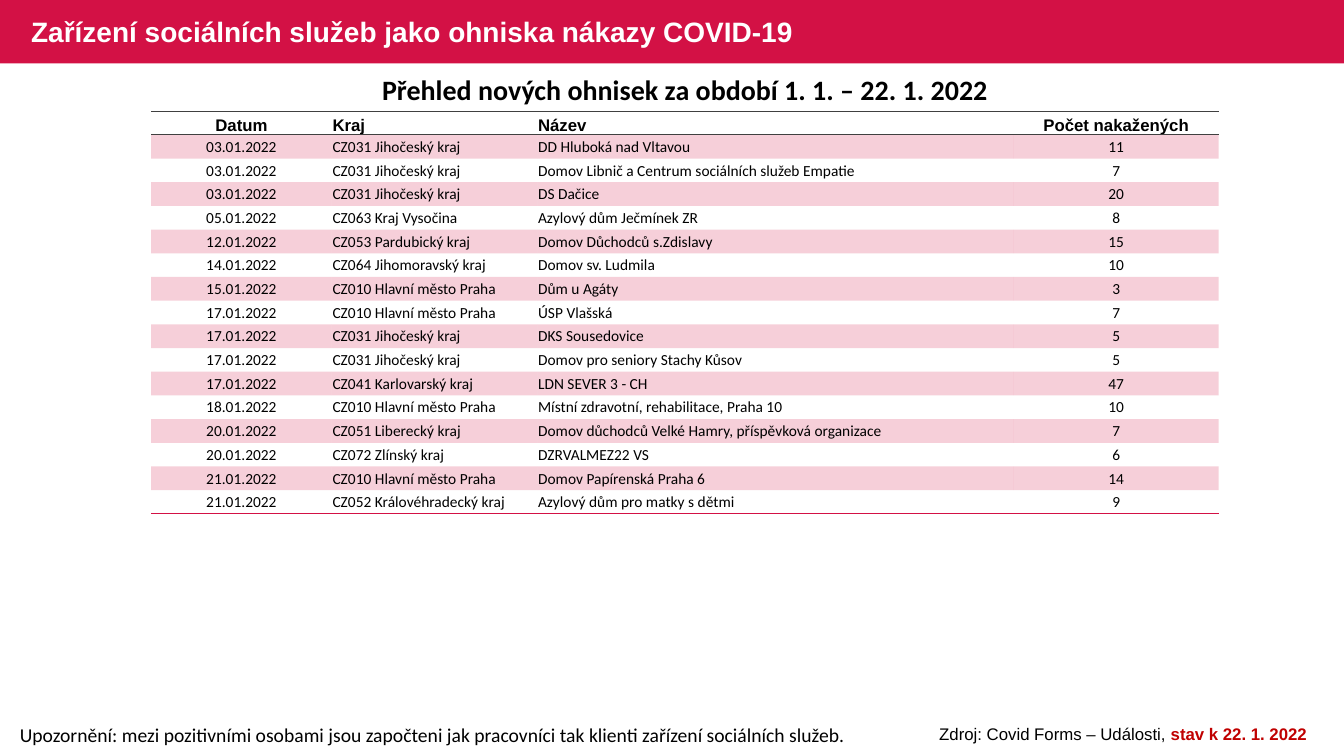
from lxml.etree import SubElement
from pptx import Presentation
from pptx.dml.color import RGBColor
from pptx.enum.shapes import MSO_SHAPE
from pptx.enum.text import MSO_ANCHOR, MSO_AUTO_SIZE, PP_ALIGN
from pptx.oxml.ns import qn
from pptx.util import Cm, Pt

# Content
TITLE = "Zařízení sociálních služeb jako ohniska nákazy COVID-19"
SUBTITLE = "Přehled nových ohnisek za období 1. 1. – 22. 1. 2022"
WARNING = ("Upozornění: mezi pozitivními osobami jsou započteni jak pracovníci "
           "tak klienti zařízení sociálních služeb.")
SOURCE = "Zdroj: Covid Forms – Události, "
SOURCE_DATE = "stav k 22. 1. 2022"
HEADER = ("Datum", "Kraj", "Název", "Počet nakažených")
OUTBREAKS = [
    ("03.01.2022", "CZ031 Jihočeský kraj", "DD Hluboká nad Vltavou", 11),
    ("03.01.2022", "CZ031 Jihočeský kraj", "Domov Libnič a Centrum sociálních služeb Empatie", 7),
    ("03.01.2022", "CZ031 Jihočeský kraj", "DS Dačice", 20),
    ("05.01.2022", "CZ063 Kraj Vysočina", "Azylový dům Ječmínek ZR", 8),
    ("12.01.2022", "CZ053 Pardubický kraj", "Domov Důchodců s.Zdislavy", 15),
    ("14.01.2022", "CZ064 Jihomoravský kraj", "Domov sv. Ludmila", 10),
    ("15.01.2022", "CZ010 Hlavní město Praha", "Dům u Agáty", 3),
    ("17.01.2022", "CZ010 Hlavní město Praha", "ÚSP Vlašská", 7),
    ("17.01.2022", "CZ031 Jihočeský kraj", "DKS Sousedovice", 5),
    ("17.01.2022", "CZ031 Jihočeský kraj", "Domov pro seniory Stachy Kůsov", 5),
    ("17.01.2022", "CZ041 Karlovarský kraj", "LDN SEVER 3 - CH", 47),
    ("18.01.2022", "CZ010 Hlavní město Praha", "Místní zdravotní, rehabilitace, Praha 10", 10),
    ("20.01.2022", "CZ051 Liberecký kraj", "Domov důchodců Velké Hamry, příspěvková organizace", 7),
    ("20.01.2022", "CZ072 Zlínský kraj", "DZRVALMEZ22 VS", 6),
    ("21.01.2022", "CZ010 Hlavní město Praha", "Domov Papírenská Praha 6", 14),
    ("21.01.2022", "CZ052 Královéhradecký kraj", "Azylový dům pro matky s dětmi", 9),
]

# Look
CRIMSON = RGBColor(0xD3, 0x11, 0x45)
DARK_RED = RGBColor(0xC0, 0x00, 0x00)
DARK_GREY = RGBColor(0x40, 0x40, 0x40)
BLACK = RGBColor(0x00, 0x00, 0x00)
WHITE = RGBColor(0xFF, 0xFF, 0xFF)
COLUMN_WIDTHS = (4.55, 5.18, 12.01, 5.16)
COLUMN_ALIGNS = (PP_ALIGN.CENTER, PP_ALIGN.LEFT, PP_ALIGN.LEFT, PP_ALIGN.CENTER)
TABLE_HEIGHT = Cm(10.16)
NO_STYLE = "{2D5ABB26-0587-4C30-8999-92F81FD0307C}"


def add_span(para, text, font, size, color, bold=False):
    span = para.add_run()
    span.text = text
    span.font.name = font
    span.font.size = Pt(size)
    span.font.bold = bold
    span.font.color.rgb = color


def add_box(page, left, top, width, height, align=PP_ALIGN.LEFT):
    box = page.shapes.add_textbox(Cm(left), Cm(top), Cm(width), Cm(height))
    box.text_frame.word_wrap = True
    box.text_frame.auto_size = MSO_AUTO_SIZE.SHAPE_TO_FIT_TEXT
    para = box.text_frame.paragraphs[0]
    para.alignment = align
    return para


def add_border(cell, side, color):
    line = SubElement(cell._tc.get_or_add_tcPr(), qn(f"a:{side}"), w=str(Pt(1)))
    fill = SubElement(line, qn("a:solidFill"))
    SubElement(fill, qn("a:srgbClr"), val=str(color))


def tint(cell):
    cell.fill.solid()
    cell.fill.fore_color.rgb = CRIMSON
    color = cell._tc.tcPr.find(qn("a:solidFill")).find(qn("a:srgbClr"))
    SubElement(color, qn("a:alpha"), val="20000")


def add_outbreak_table(page):
    rows = [HEADER] + OUTBREAKS
    frame = page.shapes.add_table(len(rows), len(HEADER), Cm(3.81), Cm(2.8),
                                  Cm(sum(COLUMN_WIDTHS)), TABLE_HEIGHT)
    table = frame.table
    table.first_row = table.horz_banding = False
    table._tbl.tblPr.find(qn("a:tableStyleId")).text = NO_STYLE
    for column, width in zip(table.columns, COLUMN_WIDTHS):
        column.width = Cm(width)
    for r, values in enumerate(rows):
        table.rows[r].height = TABLE_HEIGHT // len(rows)
        is_header = r == 0
        for c, value in enumerate(values):
            cell = table.cell(r, c)
            cell.margin_left = cell.margin_right = Cm(0.02)
            cell.margin_top = Cm(0 if is_header else 0.02)
            cell.margin_bottom = Cm(0)
            cell.vertical_anchor = MSO_ANCHOR.BOTTOM if is_header else MSO_ANCHOR.MIDDLE
            para = cell.text_frame.paragraphs[0]
            para.alignment = COLUMN_ALIGNS[c]
            font, size = ("Arial", 12) if is_header else ("Calibri", 11)
            add_span(para, str(value), font, size, BLACK, is_header)
            # Rules around the header and under the last row
            if is_header:
                add_border(cell, "lnT", DARK_GREY)
                add_border(cell, "lnB", DARK_GREY)
            elif r == len(rows) - 1:
                add_border(cell, "lnB", CRIMSON)
            # Every other row is tinted
            if r % 2:
                tint(cell)
            else:
                cell.fill.background()


def main():
    deck = Presentation()
    deck.slide_width, deck.slide_height = Cm(33.87), Cm(19.05)
    page = deck.slides.add_slide(deck.slide_layouts[5])

    # Title band, behind the title
    band = page.shapes.add_shape(MSO_SHAPE.RECTANGLE, 0, 0, deck.slide_width, Cm(1.6))
    band.shadow.inherit = False
    band.fill.solid()
    band.fill.fore_color.rgb = CRIMSON
    band.line.fill.background()
    page.shapes._spTree.insert(2, band._element)

    # Title
    title = page.shapes.title
    title.left, title.top, title.width, title.height = Cm(0.53), Cm(0.04), Cm(20.65), Cm(1.6)
    title.text_frame.vertical_anchor = MSO_ANCHOR.MIDDLE
    title.text_frame.auto_size = MSO_AUTO_SIZE.NONE
    para = title.text_frame.paragraphs[0]
    para.alignment = PP_ALIGN.LEFT
    para.line_spacing = 0.9
    add_span(para, TITLE, "Arial", 20, WHITE, True)

    # Subtitle and table
    para = add_box(page, 1.35, 1.7, 31.83, 1.11, PP_ALIGN.CENTER)
    add_span(para, SUBTITLE, "Calibri", 20, BLACK, True)
    add_outbreak_table(page)

    # Footer
    para = add_box(page, 0.25, 18.08, 21.64, 0.86)
    add_span(para, WARNING, "Calibri", 14, BLACK)
    para = add_box(page, 23.01, 18.11, 10.59, 0.76, PP_ALIGN.CENTER)
    add_span(para, SOURCE, "Arial", 12, BLACK)
    add_span(para, SOURCE_DATE, "Arial", 12, DARK_RED, True)

    deck.save("out.pptx")


if __name__ == "__main__":
    main()
